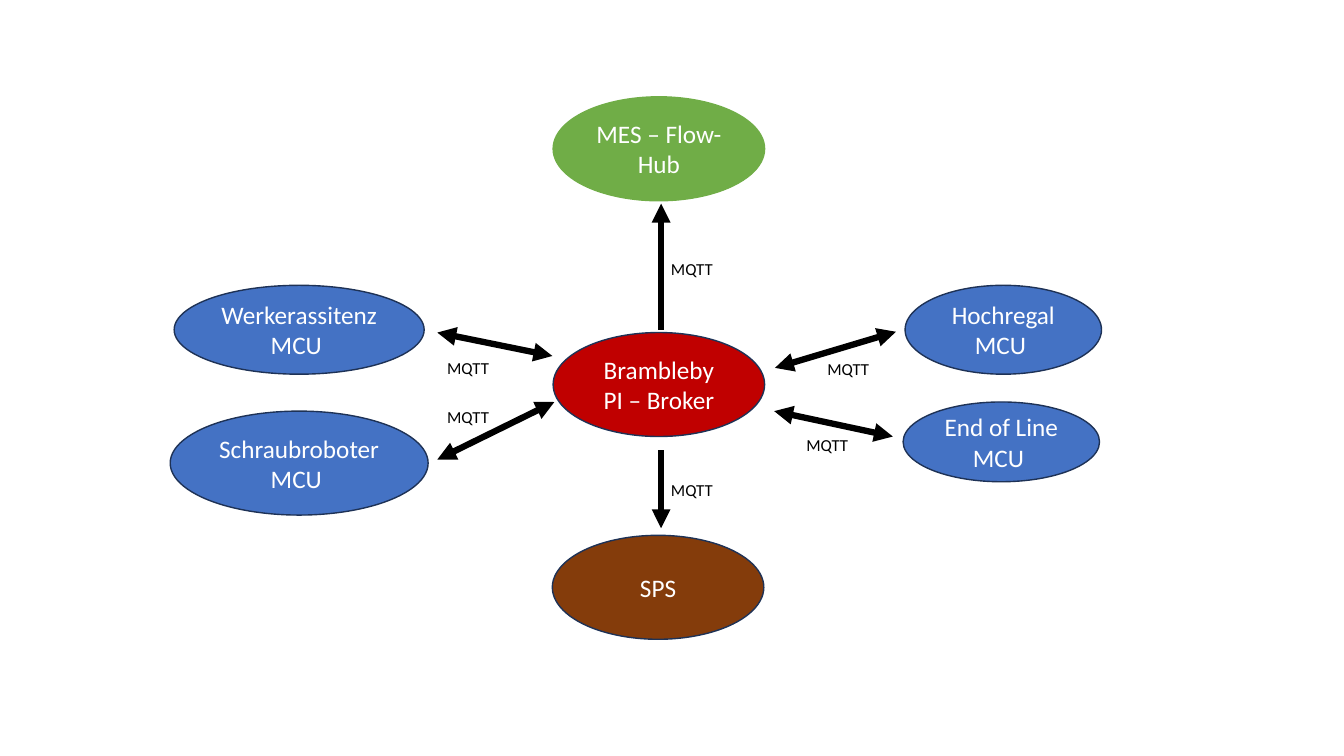
from lxml.etree import SubElement
from pptx import Presentation
from pptx.dml.color import RGBColor
from pptx.enum.shapes import MSO_CONNECTOR, MSO_SHAPE
from pptx.enum.text import MSO_ANCHOR, MSO_AUTO_SIZE, PP_ALIGN
from pptx.oxml.ns import qn
from pptx.util import Cm, Pt

COLORS = {
    "broker": "C00000", "plc": "843C0B", "mes": "70AD47", "mcu": "4472C4",
    "outline": "1E3256", "white": "FFFFFF", "black": "000000",
}


def rgb(name):
    return RGBColor.from_string(COLORS[name])


def write(tf, text, size, color, align):
    """Put one formatted run into a wrapping text frame."""
    tf.word_wrap = True
    p = tf.paragraphs[0]
    p.alignment = align
    r = p.add_run()
    r.text = text
    for name, value in {"name": "Calibri", "size": Pt(size)}.items():
        setattr(r.font, name, value)
    r.font.color.rgb = rgb(color)


prs = Presentation()
prs.slide_width, prs.slide_height = Cm(33.87), Cm(19.05)
s = prs.slides.add_slide(prs.slide_layouts[6])

# Nodes: text, fill, outline, left, top, width, height in cm
# The MCU names end in a space, which is part of their centring.
nodes = [
    ("Brambleby PI – Broker", "broker", "outline", 13.94, 8.38, 5.33, 2.62),
    ("SPS", "plc", "outline", 13.92, 13.49, 5.33, 2.62),
    ("MES – Flow-Hub", "mes", "mes", 13.94, 2.44, 5.33, 2.62),
    ("Werkerassitenz MCU ", "mcu", "outline", 4.39, 7.19, 6.3, 2.24),
    ("End of Line MCU ", "mcu", "outline", 22.76, 10.13, 4.95, 2.01),
    ("Hochregal MCU ", "mcu", "outline", 22.81, 7.19, 4.95, 2.24),
    ("Schraubroboter MCU ", "mcu", "outline", 4.29, 10.36, 6.5, 2.62),
]
for text, fill, outline, *box in nodes:
    sp = s.shapes.add_shape(MSO_SHAPE.OVAL, *map(Cm, box))
    sp.shadow.inherit = False
    sp.fill.solid()
    sp.fill.fore_color.rgb = rgb(fill)
    sp.line.color.rgb = rgb(outline)
    sp.line.width = Pt(1)
    sp.text_frame.vertical_anchor = MSO_ANCHOR.MIDDLE
    write(sp.text_frame, text, 18, "white", PP_ALIGN.CENTER)

# Links: start x, start y, end x, end y in cm, arrowheads, label left and top
one_way, two_way = ["tailEnd"], ["headEnd", "tailEnd"]
links = [
    ((16.66, 11.35, 16.66, 13.31), one_way, (16.66, 11.96)),
    ((16.66, 8.31, 16.66, 5.13), one_way, (16.66, 6.4)),
    ((11.02, 8.38, 13.92, 8.97), two_way, (11.02, 8.89)),
    ((22.5, 11, 19.51, 10.36), two_way, (20.07, 10.82)),
    ((11.02, 11.58, 13.97, 10.13), two_way, (11.02, 10.13)),
    ((22.58, 8.36, 19.53, 9.27), two_way, (20.6, 8.92)),
]
for ends, heads, label_at in links:
    link = s.shapes.add_connector(MSO_CONNECTOR.STRAIGHT, *map(Cm, ends))
    link.line.color.rgb = rgb("black")
    link.line.width = Pt(4.5)
    for head in heads:
        SubElement(link.line._get_or_add_ln(), qn(f"a:{head}"), type="triangle")
    SubElement(link._element.spPr, qn("a:effectLst"))

    label = s.shapes.add_textbox(*map(Cm, label_at), Cm(2.11), Cm(0.76))
    label.text_frame.auto_size = MSO_AUTO_SIZE.SHAPE_TO_FIT_TEXT
    write(label.text_frame, "MQTT", 12, "black", PP_ALIGN.LEFT)

prs.save("out.pptx")
